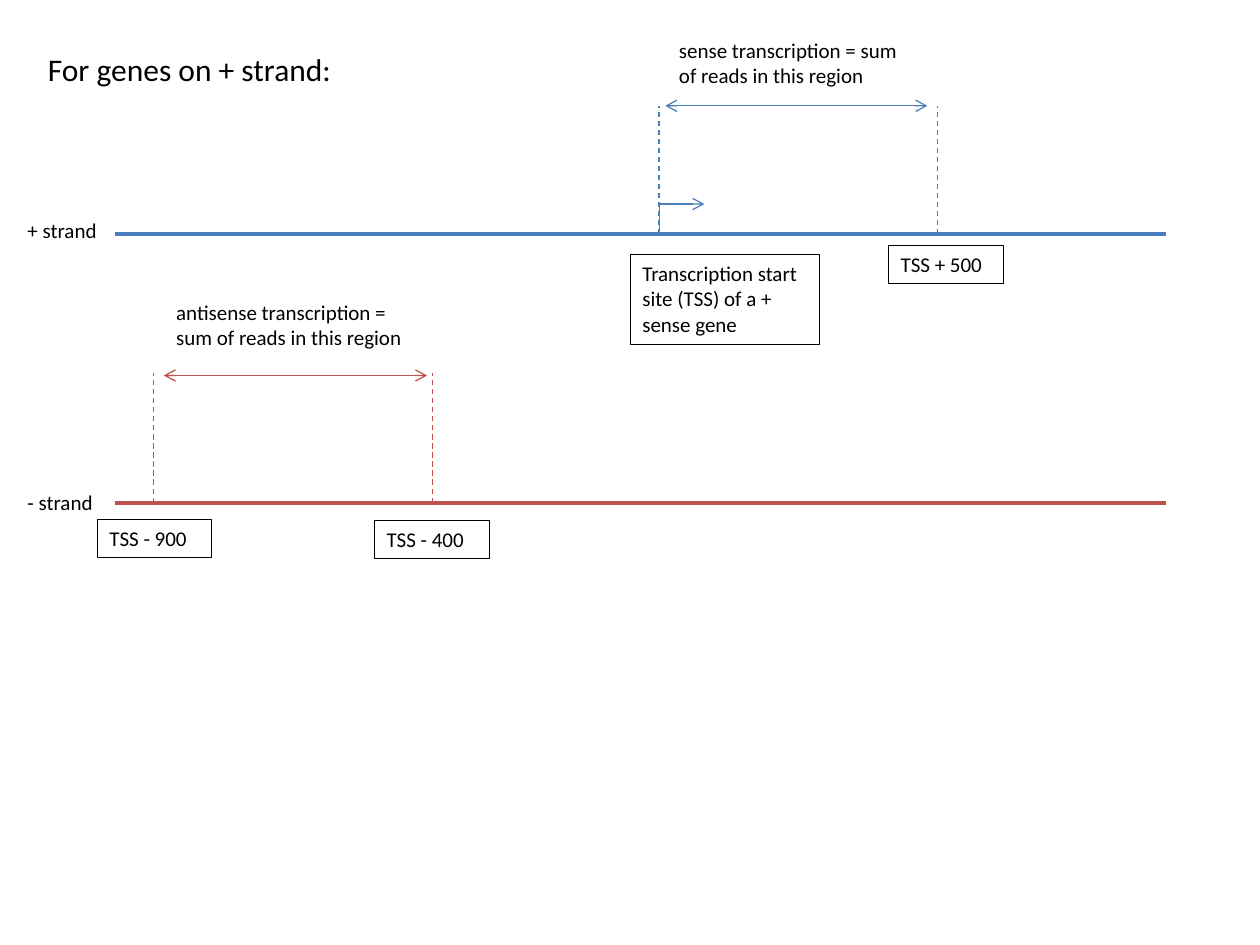
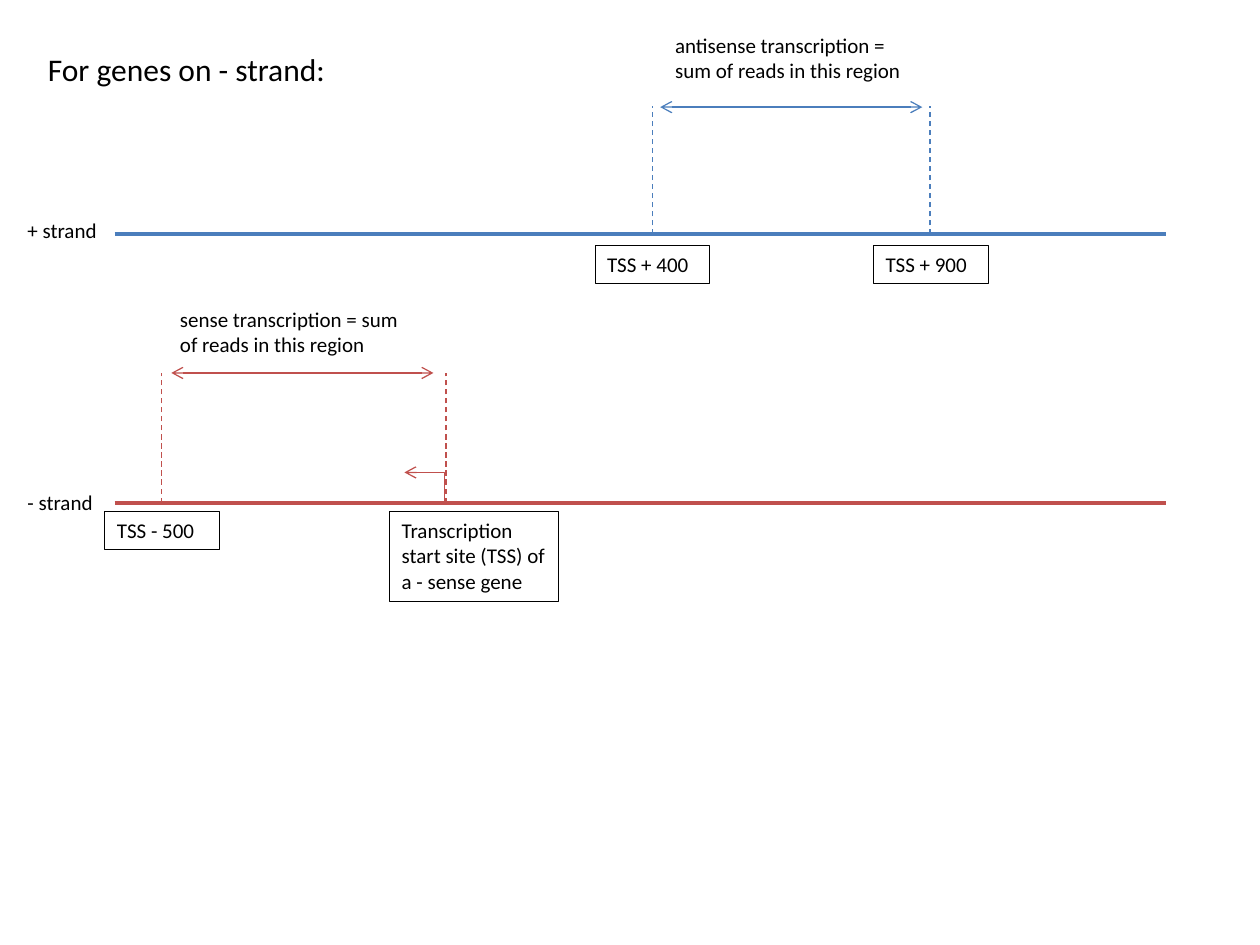
from dataclasses import dataclass
from typing import Any, Optional

from pptx import Presentation
from pptx.dml.color import RGBColor
from pptx.enum.dml import MSO_LINE
from pptx.enum.shapes import MSO_CONNECTOR, MSO_SHAPE
from pptx.enum.text import MSO_ANCHOR, MSO_AUTO_SIZE, PP_ALIGN
from pptx.oxml.ns import qn
from pptx.util import Inches, Pt
from lxml.etree import SubElement

COLORS = {"plus": "4B7EBC", "minus": "C0504D", "ink": "000000", "paper": "FFFFFF"}
FRAME_FORMAT = {
    "word_wrap": True,
    "auto_size": MSO_AUTO_SIZE.SHAPE_TO_FIT_TEXT,
    "vertical_anchor": MSO_ANCHOR.TOP,
    "margin_left": Inches(0.1),
    "margin_right": Inches(0.1),
    "margin_top": Inches(0.05),
    "margin_bottom": Inches(0.05),
}
FONT_FORMAT = {"name": "Calibri", "bold": False}
COLUMNS, ROWS = 1000, 750
TITLE_ONLY = 5

presentation = Presentation()
presentation.slide_width, presentation.slide_height = Inches(10), Inches(7.5)


@dataclass(frozen=True)
class Box:
    left: float
    top: float
    width: float
    height: float


@dataclass(frozen=True)
class Strand:
    name: str
    color: str
    row: int
    label_top: int
    guide_top: int


@dataclass(frozen=True)
class Tag:
    text: str
    left: int
    top: int
    width: int = 91
    height: int = 30


@dataclass(frozen=True)
class Region:
    strand: Strand
    caption: str
    caption_left: int
    caption_top: int
    guides: tuple[int, int]
    arrow: tuple[int, int]
    arrow_row: int
    tags: tuple[Tag, ...]
    start_site: Optional[tuple[int, int]] = None
    bend: int = 0


@dataclass(frozen=True)
class GenePage:
    title: str
    regions: tuple[Region, ...]


PLUS = Strand("+ strand", "plus", 186, 168, 84)
MINUS = Strand("- strand", "minus", 399, 384, 296)
SENSE = "sense transcription = sum of reads in this region"
ANTISENSE = "anti" + SENSE

PAGES = (
    GenePage("For genes on + strand:", (
        Region(PLUS, SENSE, 529, 25, (523, 744), (528, 736), 84,
               (Tag("Transcription start site (TSS) of a + sense gene", 500, 202, 150, 71),
                Tag("TSS + 500", 705, 195)), (524, 559), -1300),
        Region(MINUS, ANTISENSE, 130, 233, (122, 343), (130, 339), 298,
               (Tag("TSS - 900", 77, 412), Tag("TSS - 400", 297, 413))),
    )),
    GenePage("For genes on - strand:", (
        Region(PLUS, ANTISENSE, 526, 21, (518, 738), (524, 732), 85,
               (Tag("TSS + 400", 472, 195), Tag("TSS + 900", 693, 195))),
        Region(MINUS, SENSE, 133, 238, (128, 354), (136, 344), 296,
               (Tag("TSS - 500", 83, 406),
                Tag("Transcription start site (TSS) of a - sense gene", 309, 406, 134, 71)),
               (352, 321), -2900),
    )),
)


def column(position: float) -> int:
    return round(presentation.slide_width * position / COLUMNS)


def row(position: float) -> int:
    return round(presentation.slide_height * position / ROWS)


def color(name: str) -> RGBColor:
    return RGBColor.from_string(COLORS[name])


def place(box: Box) -> tuple[int, int, int, int]:
    return column(box.left), row(box.top), column(box.width), row(box.height)


def apply_format(target: Any, values: dict[str, Any]) -> None:
    for name, value in values.items():
        setattr(target, name, value)


def write(shape: Any, text: str, size: int = 12) -> None:
    apply_format(shape.text_frame, FRAME_FORMAT)
    paragraph = shape.text_frame.paragraphs[0]
    paragraph.alignment = PP_ALIGN.LEFT
    run = paragraph.add_run()
    run.text = text
    apply_format(run.font, FONT_FORMAT | {"size": Pt(size)})
    run.font.color.rgb = color("ink")


def add_title(slide: Any, text: str) -> None:
    title = slide.shapes.title
    position = place(Box(28, 35, 290, 40))
    apply_format(title, dict(zip(("left", "top", "width", "height"), position)))
    write(title, text, 18)


def add_label(slide: Any, text: str, box: Box) -> None:
    write(slide.shapes.add_textbox(*place(box)), text)


def add_tag(slide: Any, tag: Tag) -> None:
    box = Box(tag.left, tag.top, tag.width, tag.height)
    shape = slide.shapes.add_shape(MSO_SHAPE.RECTANGLE, *place(box))
    shape.shadow.inherit = False
    shape.fill.solid()
    shape.fill.fore_color.rgb = color("paper")
    shape.line.color.rgb = color("ink")
    shape.line.width = Pt(0.25)
    write(shape, tag.text)


def add_line(slide: Any, start: tuple[float, float], end: tuple[float, float],
             line_color: str, width: float = 0.75, dashed: bool = False,
             arrows: tuple[str, ...] = (), bend: int = 0) -> None:
    kind = MSO_CONNECTOR.ELBOW if bend else MSO_CONNECTOR.STRAIGHT
    connector = slide.shapes.add_connector(
        kind, column(start[0]), row(start[1]), column(end[0]), row(end[1]))
    connector.line.color.rgb = color(line_color)
    connector.line.width = Pt(width)
    if dashed:
        connector.line.dash_style = MSO_LINE.DASH
    properties = connector._element.spPr
    for arrow in arrows:
        SubElement(properties.find(qn("a:ln")), qn(f"a:{arrow}"), type="arrow")
    SubElement(properties, qn("a:effectLst"))
    if bend:
        adjustments = properties.find(qn("a:prstGeom")).find(qn("a:avLst"))
        SubElement(adjustments, qn("a:gd"), name="adj1", fmla=f"val {bend}")


def add_region(slide: Any, region: Region) -> None:
    strand = region.strand
    add_line(slide, (91, strand.row), (925, strand.row), strand.color, 2.25)
    add_label(slide, strand.name, Box(12, strand.label_top, 87, 30))
    for guide in region.guides:
        add_line(slide, (guide, strand.row), (guide, strand.guide_top),
                 strand.color, dashed=True)
    left, right = region.arrow
    add_line(slide, (left, region.arrow_row), (right, region.arrow_row),
             strand.color, arrows=("headEnd", "tailEnd"))
    if region.start_site:
        start, end = region.start_site
        add_line(slide, (start, strand.row), (end, strand.row - 24),
                 strand.color, arrows=("tailEnd",), bend=region.bend)
    add_label(slide, region.caption,
              Box(region.caption_left, region.caption_top, 208, 50))
    for tag in region.tags:
        add_tag(slide, tag)


for page in PAGES:
    slide = presentation.slides.add_slide(presentation.slide_layouts[TITLE_ONLY])
    add_title(slide, page.title)
    for region in page.regions:
        add_region(slide, region)

presentation.save("out.pptx")
